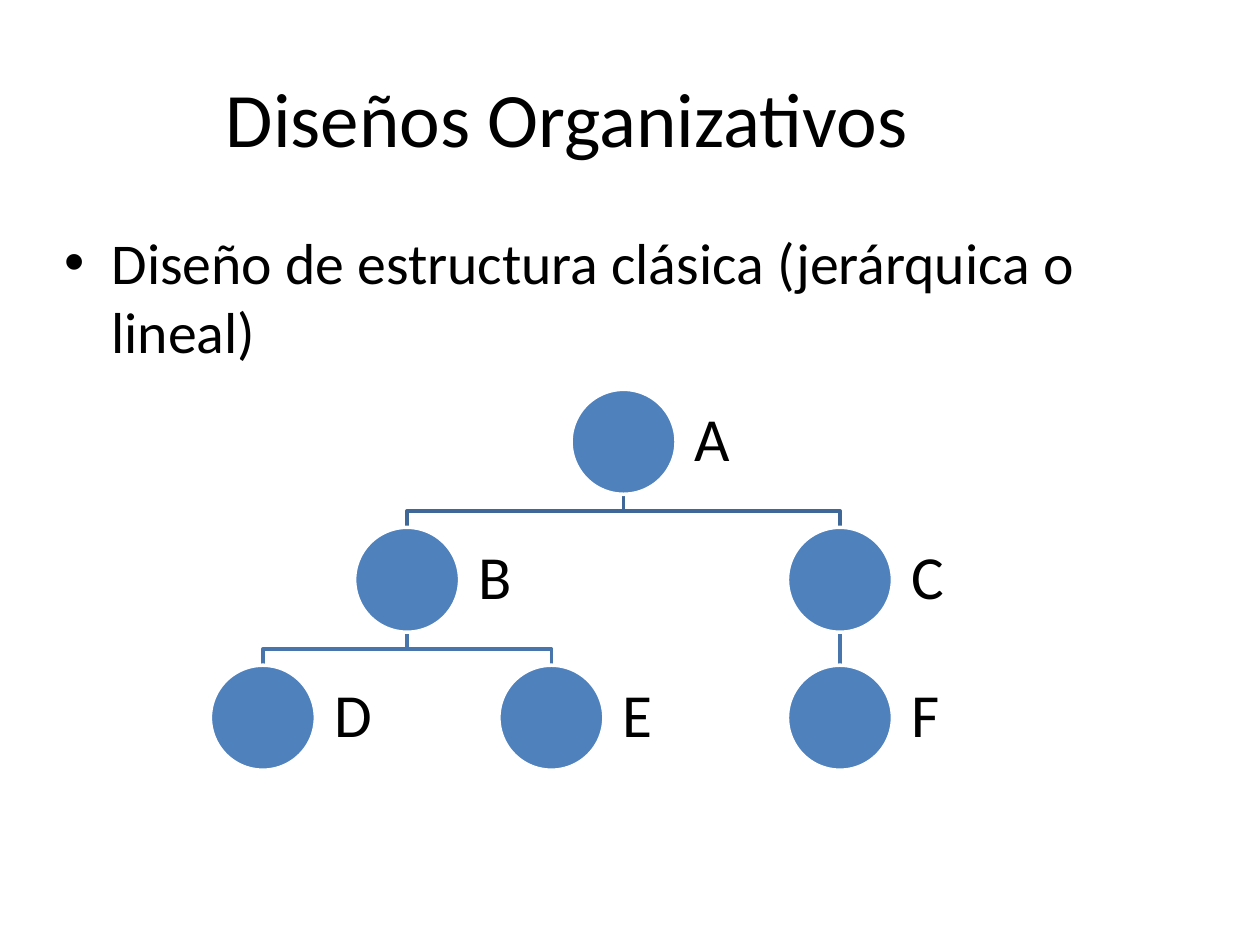
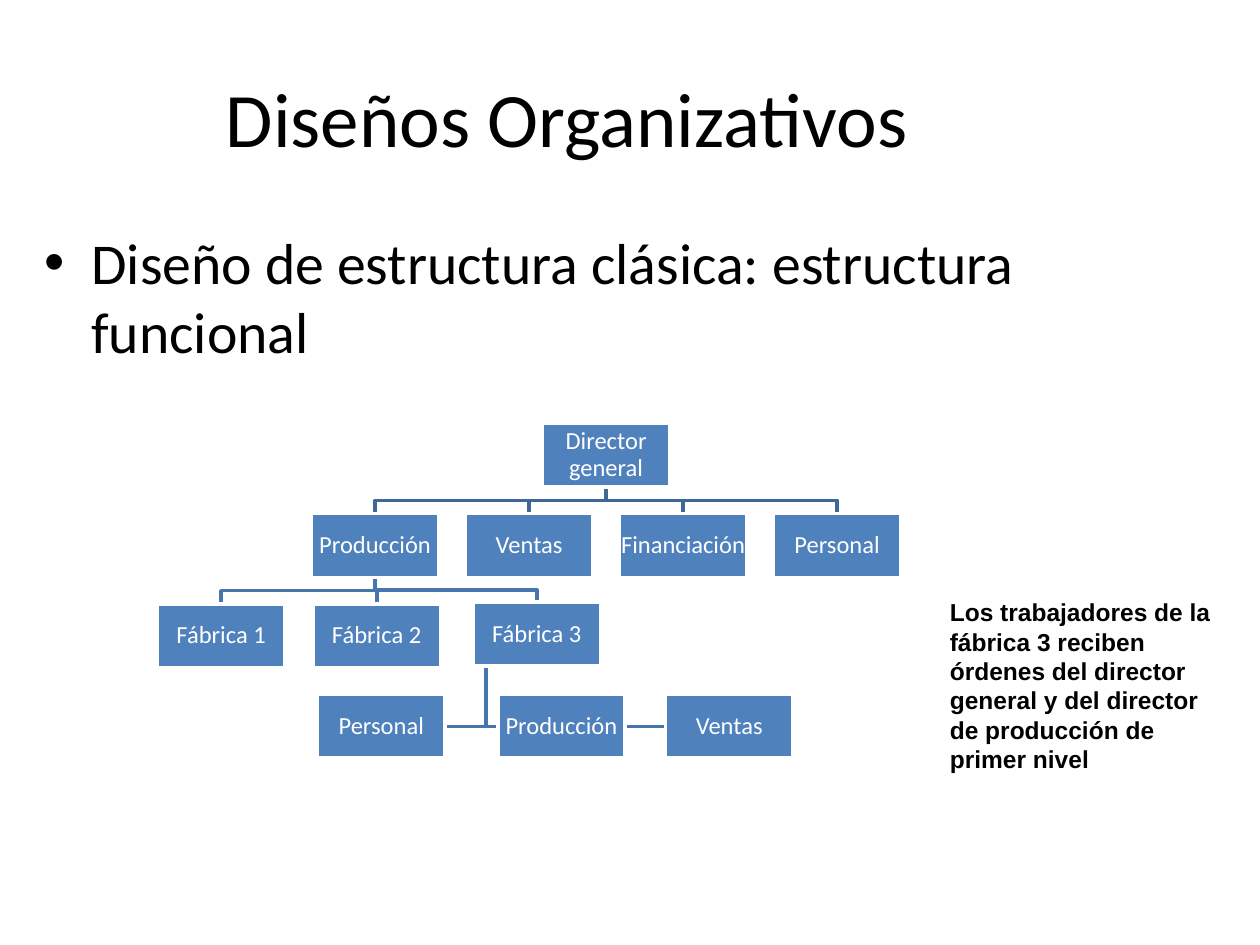
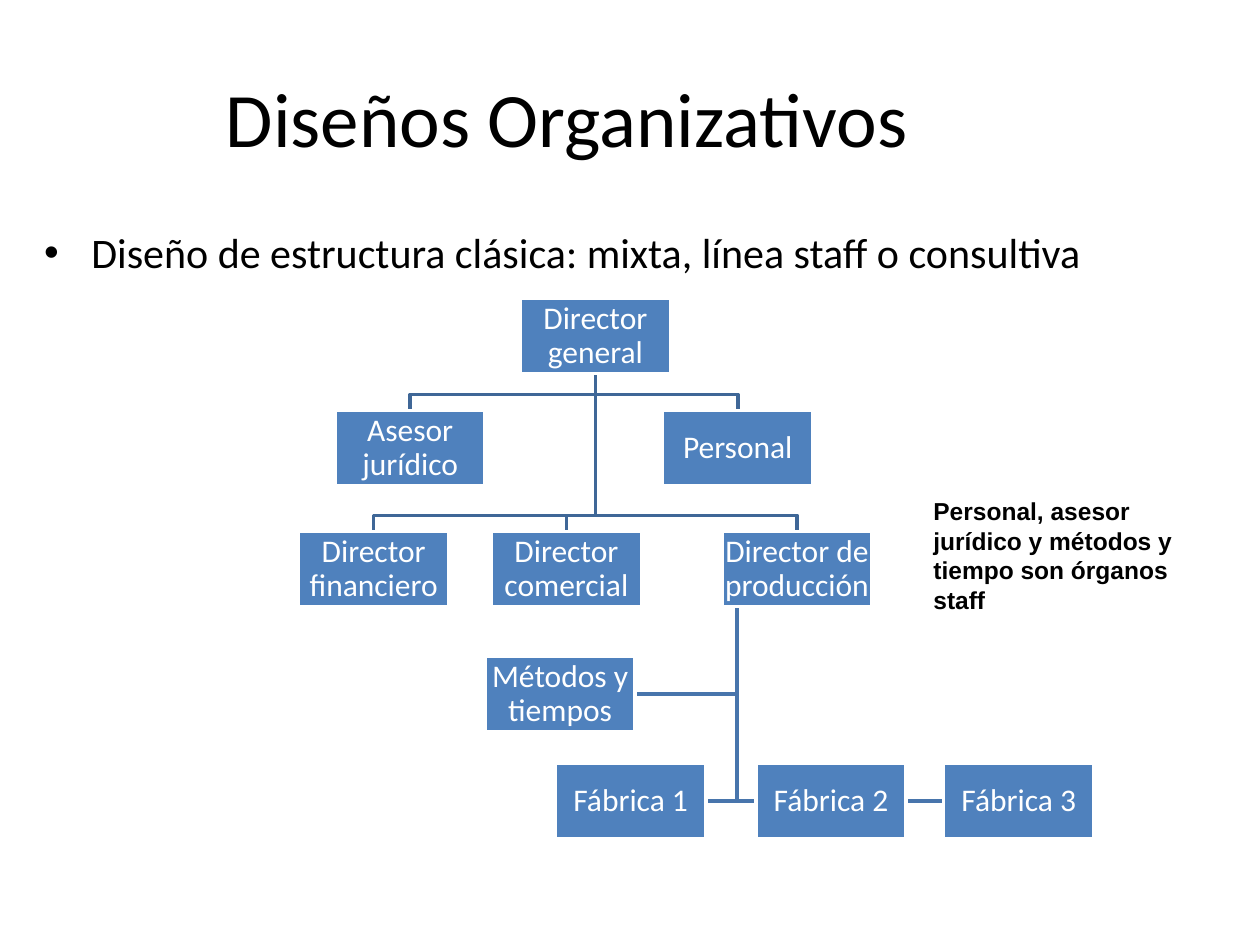
from dataclasses import dataclass

from pptx import Presentation
from pptx.dml.color import RGBColor
from pptx.enum.shapes import MSO_SHAPE
from pptx.enum.text import MSO_ANCHOR, MSO_AUTO_SIZE, PP_ALIGN
from pptx.util import Inches, Pt

OVAL, RECT = MSO_SHAPE.OVAL, MSO_SHAPE.RECTANGLE
MIDDLE, TOP = MSO_ANCHOR.MIDDLE, MSO_ANCHOR.TOP
CENTER, LEFT = PP_ALIGN.CENTER, PP_ALIGN.LEFT
FIXED, GROW = MSO_AUTO_SIZE.NONE, MSO_AUTO_SIZE.SHAPE_TO_FIT_TEXT

COLS, ROWS = 100, 75


@dataclass(frozen=True)
class Theme:
    font: str = "Calibri"
    note_font: str = "Arial"
    ink: str = "000000"
    paper: str = "FFFFFF"
    node: str = "4F81BD"
    root_link: str = "3F6797"
    link: str = "4875AC"
    line: float = 2
    title: int = 44
    body: int = 33
    body_small: int = 24
    label: int = 35
    box: int = 14
    box_large: int = 18
    note: int = 14


@dataclass(frozen=True)
class Node:
    text: str
    x: float
    y: float
    below: tuple = ()
    beside: tuple = ()


@dataclass(frozen=True)
class Grid:
    left: float
    top: float
    dx: float
    dy: float
    w: float
    h: float

    def corner(self, node):
        return self.left + node.x * self.dx, self.top + node.y * self.dy


class Deck:
    def __init__(self, theme):
        self.theme = theme
        self.prs = Presentation()
        self.prs.slide_width, self.prs.slide_height = Inches(10), Inches(7.5)
        self.s = None

    def col(self, n):
        return round(self.prs.slide_width * n / COLS)

    def row(self, n):
        return round(self.prs.slide_height * n / ROWS)

    def place(self, left, top, width, height):
        return self.col(left), self.row(top), self.col(width), self.row(height)

    def style(self, p, size, color, font=None, bold=False):
        p.font.size, p.font.name, p.font.bold = Pt(size), font or self.theme.font, bold
        p.font.color.rgb = RGBColor.from_string(color)

    def holder(self, sp, text, size, *area):
        sp.left, sp.top, sp.width, sp.height = self.place(*area)
        sp.text_frame.text = text
        sp.text_frame.auto_size = FIXED
        self.style(sp.text_frame.paragraphs[0], size, self.theme.ink)

    def slide(self, title, bullet, size, left):
        self.s = self.prs.slides.add_slide(self.prs.slide_layouts[1])
        self.holder(self.s.shapes.title, title, self.theme.title, 0, 3, 90, 12.5)
        self.holder(self.s.placeholders[1], bullet, size, left, 17.5, 90, 13.3)

    def caption(self, sp, text, size, color, inset, align):
        tf = sp.text_frame
        tf.word_wrap, tf.vertical_anchor = True, MIDDLE
        tf.margin_left = tf.margin_right = tf.margin_top = tf.margin_bottom = inset
        tf.text = text
        p = tf.paragraphs[0]
        p.alignment, p.line_spacing = align, 0.9
        self.style(p, size, color)

    def note(self, text, *area):
        sp = self.s.shapes.add_textbox(*self.place(*area))
        tf = sp.text_frame
        tf.word_wrap, tf.auto_size, tf.vertical_anchor = True, GROW, TOP
        tf.text = text
        self.style(tf.paragraphs[0], self.theme.note, self.theme.ink,
                   self.theme.note_font, True)

    def polyline(self, points, color):
        start, *rest = [(self.col(x), self.row(y)) for x, y in points]
        fb = self.s.shapes.build_freeform(*start)
        fb.add_line_segments(rest, close=False)
        sp = fb.convert_to_shape()
        sp.shadow.inherit = False
        sp.fill.background()
        sp.line.color.rgb = RGBColor.from_string(color)
        sp.line.width = Pt(self.theme.line)

    def links(self, node, grid, color):
        x, y = grid.corner(node)
        bottom, middle, trunk = y + grid.h, x + grid.w / 2, x + grid.w / 10
        for child in node.below:
            cx, cy = grid.corner(child)
            cx += grid.w / 2
            bend = cy - min(1.3, (cy - bottom) / 2)
            self.polyline([(middle, bottom), (middle, bend), (cx, bend), (cx, cy)], color)
        for child in node.beside:
            cx, cy = grid.corner(child)
            side = cx if cx > trunk else cx + grid.w
            cy += grid.h / 2
            self.polyline([(trunk, bottom), (trunk, cy), (side, cy)], color)
        for child in node.below + node.beside:
            self.links(child, grid, self.theme.link)

    def nodes(self, node, grid, size, shape):
        x, y = grid.corner(node)
        sp = self.s.shapes.add_shape(shape, *self.place(x, y, grid.w, grid.h))
        sp.shadow.inherit = False
        sp.fill.solid()
        sp.fill.fore_color.rgb = RGBColor.from_string(self.theme.node)
        sp.line.color.rgb = RGBColor.from_string(self.theme.paper)
        sp.line.width = Pt(self.theme.line)
        if shape == OVAL:
            label = self.s.shapes.add_textbox(
                *self.place(x + grid.w, y, grid.w * 1.5, grid.h))
            self.caption(label, node.text, size, self.theme.ink, Inches(0.15), LEFT)
        else:
            self.caption(sp, node.text, size, self.theme.paper, Pt(size / 20), CENTER)
        for child in node.below + node.beside:
            self.nodes(child, grid, size, shape)

    def tree(self, root, grid, size, shape=RECT):
        self.links(root, grid, self.theme.root_link)
        self.nodes(root, grid, size, shape)


def main():
    theme = Theme()
    deck = Deck(theme)
    title = "Diseños Organizativos"

    deck.slide(title, "Diseño de estructura clásica (jerárquica o lineal)", theme.body, 4.1)
    hierarchy = Node("A", 1.25, 0, below=(
        Node("B", 0.5, 1, below=(Node("D", 0, 2), Node("E", 1, 2))),
        Node("C", 2, 1, below=(Node("F", 2, 2),)),
    ))
    deck.tree(hierarchy, Grid(16.7, 30.9, 22.9, 10.95, 8.33, 8.33), theme.label, OVAL)

    deck.slide(title, "Diseño de estructura clásica: estructura funcional", theme.body, 2.5)
    factory = Node("Fábrica 3", 2.05, 1.98, beside=(
        Node("Personal", 1.04, 3), Node("Producción", 2.21, 3), Node("Ventas", 3.3, 3),
    ))
    functional = Node("Director general", 2.5, 0, below=(
        Node("Producción", 1, 1, below=(
            Node("Fábrica 1", 0, 2), Node("Fábrica 2", 1.01, 2), factory)),
        Node("Ventas", 2, 1),
        Node("Financiación", 3, 1),
        Node("Personal", 4, 1),
    ))
    deck.tree(functional, Grid(12.5, 33.6, 12.22, 7.17, 10.12, 5.06), theme.box)
    deck.note("Los trabajadores de la fábrica 3 reciben órdenes del director general "
              "y del director de producción de primer nivel", 74.4, 46.9, 24.4, 15.1)

    deck.slide(title, "Diseño de estructura clásica: mixta, línea staff o consultiva",
               theme.body_small, 2.5)
    production = Node("Director de producción", 3.36, 1.85, beside=(
        Node("Métodos y tiempos", 1.48, 2.84),
        Node("Fábrica 1", 2.04, 3.69),
        Node("Fábrica 2", 3.63, 3.69),
        Node("Fábrica 3", 5.12, 3.69),
    ))
    mixed = Node("Director general", 1.76, 0, below=(
        Node("Asesor jurídico", 0.29, 0.89),
        Node("Personal", 2.89, 0.89),
        Node("Director financiero", 0, 1.85),
        Node("Director comercial", 1.53, 1.85),
        production,
    ))
    deck.tree(mixed, Grid(23.7, 23.7, 10, 10, 11.92, 5.96), theme.box_large)
    deck.note("Personal, asesor jurídico y métodos y tiempo son órganos staff",
              73.1, 38.9, 24.4, 10.4)

    deck.prs.save("out.pptx")


if __name__ == "__main__":
    main()
